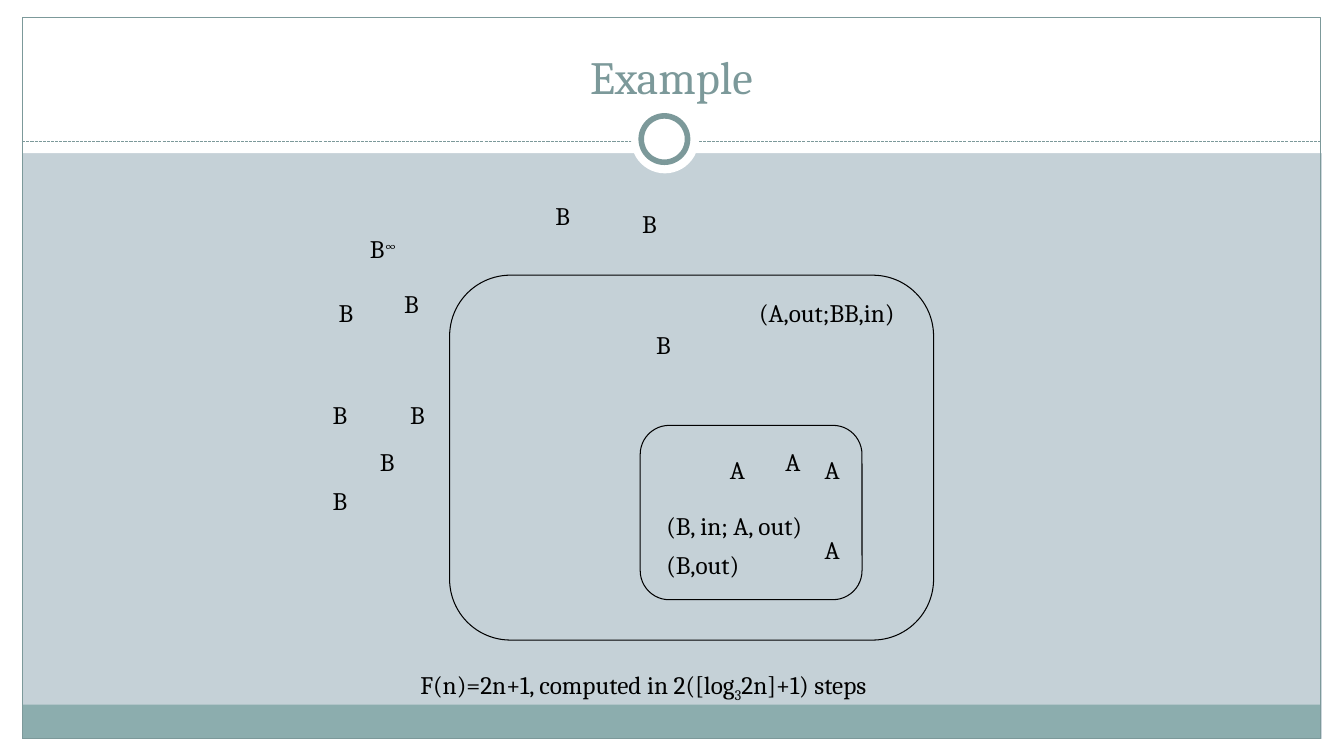
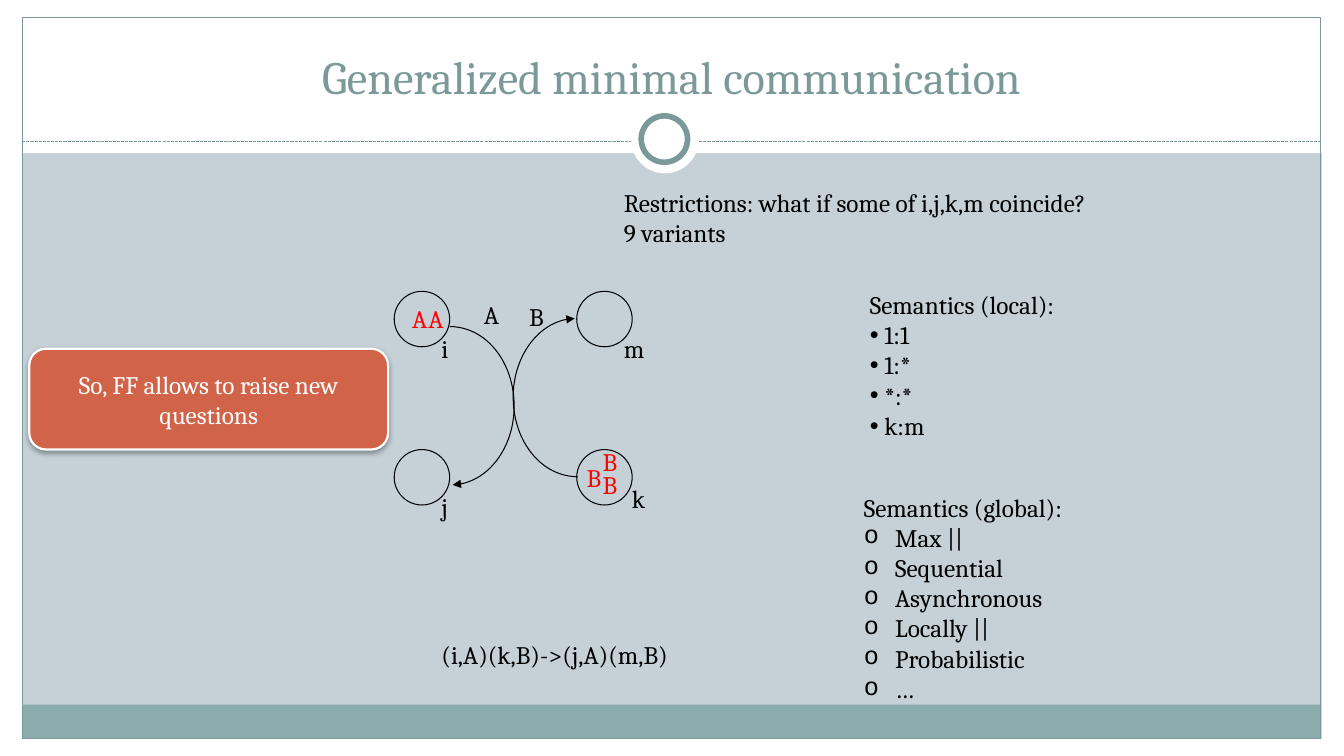
from lxml import etree
from pptx import Presentation
from pptx.dml.color import RGBColor
from pptx.enum.dml import MSO_LINE
from pptx.enum.shapes import MSO_CONNECTOR, MSO_SHAPE
from pptx.enum.text import MSO_ANCHOR, MSO_AUTO_SIZE, PP_ALIGN
from pptx.oxml.ns import qn
from pptx.util import Inches, Pt

RECTANGLE, ROUNDED, OVAL = MSO_SHAPE.RECTANGLE, MSO_SHAPE.ROUNDED_RECTANGLE, MSO_SHAPE.OVAL
STRAIGHT, DASH = MSO_CONNECTOR.STRAIGHT, MSO_LINE.SQUARE_DOT
MIDDLE, BOTTOM = MSO_ANCHOR.MIDDLE, MSO_ANCHOR.BOTTOM
CENTER, GROW = PP_ALIGN.CENTER, MSO_AUTO_SIZE.SHAPE_TO_FIT_TEXT

BACKGROUND = RGBColor(0xC5, 0xD1, 0xD7)
BAND = RGBColor(0x8C, 0xAD, 0xAE)
ACCENT = RGBColor(0x7C, 0x99, 0x9A)
CALLOUT = RGBColor(0xD1, 0x63, 0x49)
WHITE = RGBColor(0xFF, 0xFF, 0xFF)
BLACK = RGBColor(0, 0, 0)
RED = RGBColor(0xFF, 0, 0)
FONT = "Cambria"
WIDTH, HEIGHT = 13.33, 7.5
LETTER_WIDTH, LINE_HEIGHT = 0.37, 0.4

# Content: membrane example (places are left, top)
MEMBRANES = [(4.46, 2.73, 4.8, 3.62), (6.35, 4.22, 2.2, 1.73)]
OBJECTS = {
    "A": [(7.69, 4.38), (8.08, 4.46), (7.14, 4.46), (8.08, 5.25)],
    "B": [(6.41, 3.22), (3.26, 2.9), (5.41, 1.94), (6.27, 2.02), (3.97, 3.91),
          (3.91, 2.81), (3.2, 3.91), (3.2, 4.77), (3.67, 4.38)],
}
# A line is a list of (text, baseline shift in percent)
RULES = [
    (6.51, 5.01, 1.72, [("(B, in; A, out)", 0)]),
    (6.51, 5.4, 0.99, [("(B,out)", 0)]),
    (7.43, 2.9, 1.7, [("(A,out;BB,in)", 0)]),
    (3.57, 2.27, 0.5, [("B", 0), ("∞", 30)]),
    (4.07, 6.59, 5.23, [("F(n)=2n+1, computed in 2([log", 0), ("3", -25), ("2n]+1) steps", 0)]),
]

# Content: communication diagram
CELL_SIZE, CELL_COLUMNS, CELL_ROWS = 0.55, (3.91, 5.72), (2.89, 4.46)
CELL_LABELS = [("i", 4.28, 3.26, 0.28), ("j", 4.28, 4.83, 0.28),
               ("k", 6.17, 4.75, 0.34), ("m", 6.09, 3.26, 0.43),
               ("A", 4.7, 2.92, 0.37), ("B", 5.15, 2.94, 0.37)]
CELL_CONTENTS = [("A", 3.99, 2.96), ("A", 4.15, 2.96),
                 ("B", 5.88, 4.61), ("B", 5.72, 4.54), ("B", 5.88, 4.38)]
# Two Bezier arcs from i to j; the k to m path is their half turn
ARCS = [[(4.46, 3.24), (4.82, 3.24), (5.1, 3.59), (5.1, 4.03)],
        [(5.1, 4.03), (5.1, 4.45), (4.83, 4.8), (4.49, 4.81)]]
HALF_TURN_SUM = (10.19, 7.97)
ARC_STEPS = 24
FORMULA = "(i,A)(k,B)->(j,A)(m,B)"
QUESTION = ["Restrictions: what if some of i,j,k,m coincide?", "9 variants"]
LOCAL = ["Semantics (local):", " 1:1", " 1:*", " *:*", " k:m"]
GLOBAL = ["Semantics (global):", "Max ||", "Sequential", "Asynchronous",
          "Locally ||", "Probabilistic", "…"]
CONCLUSION = "So, FF allows to raise new questions"


# Drawing helpers
def style_runs(paragraph, color, size):
    for run in paragraph.runs:
        run.font.name, run.font.size, run.font.color.rgb = FONT, Pt(size), color


def add_shape(slide, kind, box, fill=None, line=None, line_width=0.75):
    shape = slide.shapes.add_shape(kind, *map(Inches, box))
    shape.shadow.inherit = False
    if fill is None:
        shape.fill.background()
    else:
        shape.fill.solid()
        shape.fill.fore_color.rgb = fill
    if line is None:
        shape.line.fill.background()
    else:
        shape.line.color.rgb = line
        shape.line.width = Pt(line_width)
    return shape


def add_text(slide, box, lines, color=BLACK, wrap=False):
    text_box = slide.shapes.add_textbox(*map(Inches, box))
    frame = text_box.text_frame
    frame.text = "\n".join(lines)
    frame.word_wrap, frame.auto_size = wrap, GROW
    for paragraph in frame.paragraphs:
        style_runs(paragraph, color, 18)
    return frame


def add_rule(slide, left, top, width, parts):
    paragraph = add_text(slide, (left, top, width, LINE_HEIGHT), [""]).paragraphs[0]
    for text, shift in parts:
        run = paragraph.add_run()
        run.text = text
        if shift:
            run._r.get_or_add_rPr().set("baseline", str(shift * 1000))
    style_runs(paragraph, BLACK, 18)


def add_bullets(paragraphs, character, font, indent=0):
    for paragraph in paragraphs:
        properties = paragraph._p.get_or_add_pPr()
        properties.set("marL", str(Inches(indent)))
        properties.set("indent", str(-Inches(indent)))
        etree.SubElement(properties, qn("a:buFont"), typeface=font)
        etree.SubElement(properties, qn("a:buChar"), char=character)


def bezier_points(controls):
    for step in range(ARC_STEPS + 1):
        t = step / ARC_STEPS
        weights = ((1 - t) ** 3, 3 * t * (1 - t) ** 2, 3 * t * t * (1 - t), t ** 3)
        yield tuple(sum(w * point[axis] for w, point in zip(weights, controls))
                    for axis in (0, 1))


def add_curved_arrow(slide, points):
    points = [(Inches(x), Inches(y)) for x, y in points]
    builder = slide.shapes.build_freeform(*points[0])
    builder.add_line_segments(points[1:], close=False)
    arrow = builder.convert_to_shape()
    arrow.shadow.inherit = False
    arrow.fill.background()
    arrow.line.color.rgb = BLACK
    arrow.line.width = Pt(0.75)
    etree.SubElement(arrow.line._get_or_add_ln(), qn("a:tailEnd"), type="triangle")


def add_soft_shadow(shape):
    effects = shape._element.spPr.find(qn("a:effectLst"))
    shadow = etree.SubElement(effects, qn("a:outerShdw"), blurRad=str(Pt(4)),
                              dist=str(Pt(2)), dir="5400000", rotWithShape="0")
    color = etree.SubElement(shadow, qn("a:srgbClr"), val=str(BLACK))
    etree.SubElement(color, qn("a:alpha"), val="35000")


# Shared frame, ring and title
def add_slide(presentation, title):
    slide = presentation.slides.add_slide(presentation.slide_layouts[6])
    slide.background.fill.solid()
    slide.background.fill.fore_color.rgb = BACKGROUND
    for box in [(0, 7.33, WIDTH, 0.17), (0, 0, WIDTH, 1.52),
                (0, 0, 0.22, HEIGHT), (13.11, 0, 0.22, HEIGHT)]:
        add_shape(slide, RECTANGLE, box, WHITE)
    add_shape(slide, RECTANGLE, (0.22, 6.99, 12.88, 0.34), BAND)
    add_shape(slide, RECTANGLE, (0.22, 0.17, 12.88, 7.16), line=ACCENT)
    divider = slide.shapes.add_connector(STRAIGHT, *map(Inches, (0.22, 1.4, 13.1, 1.4)))
    divider.line.color.rgb, divider.line.width = ACCENT, Pt(0.75)
    divider.line.dash_style = DASH
    etree.SubElement(divider._element.spPr, qn("a:effectLst"))
    add_shape(slide, OVAL, (6.26, 1.05, 0.67, 0.67), WHITE)
    add_shape(slide, OVAL, (6.36, 1.15, 0.46, 0.46), WHITE, ACCENT, 4)
    frame = slide.shapes.add_textbox(*map(Inches, (0.44, 0.25, 12.44, 0.83))).text_frame
    frame.word_wrap, frame.vertical_anchor = True, BOTTOM
    frame.text = title
    frame.paragraphs[0].alignment = CENTER
    style_runs(frame.paragraphs[0], ACCENT, 33)
    return slide


presentation = Presentation()
presentation.slide_width, presentation.slide_height = Inches(WIDTH), Inches(HEIGHT)

# Slide 1: membranes with objects and rules
slide = add_slide(presentation, "Example")
for membrane in MEMBRANES:
    add_shape(slide, ROUNDED, membrane, line=BLACK)
for letter, places in OBJECTS.items():
    for place in places:
        add_text(slide, (*place, LETTER_WIDTH, LINE_HEIGHT), [letter])
for rule in RULES:
    add_rule(slide, *rule)

# Slide 2: four cells exchanging objects
slide = add_slide(presentation, "Generalized minimal communication")
for left in CELL_COLUMNS:
    for top in CELL_ROWS:
        add_shape(slide, OVAL, (left, top, CELL_SIZE, CELL_SIZE), line=BLACK)
path_down = [point for arc in ARCS for point in bezier_points(arc)]
path_up = [(HALF_TURN_SUM[0] - x, HALF_TURN_SUM[1] - y) for x, y in path_down]
for points in (path_down, path_up):
    add_curved_arrow(slide, points)
for label, left, top, width in CELL_LABELS:
    add_text(slide, (left, top, width, LINE_HEIGHT), [label])
for letter, left, top in CELL_CONTENTS:
    add_text(slide, (left, top, LETTER_WIDTH, LINE_HEIGHT), [letter], RED)

# Slide 2: formula, question and lists
add_text(slide, (4.28, 6.29, 2.67, LINE_HEIGHT), [FORMULA])
add_text(slide, (6.09, 1.81, 5.27, 0.71), QUESTION)
local_list = add_text(slide, (8.53, 2.82, 2.19, 1.62), LOCAL)
add_bullets(local_list.paragraphs[1:], "•", "Arial")
global_list = add_text(slide, (8.47, 4.83, 2.45, 2.22), GLOBAL, wrap=True)
add_bullets(global_list.paragraphs[1:], "o", "Courier New", 0.31)

# Slide 2: conclusion
callout = add_shape(slide, ROUNDED, (0.29, 3.46, 3.56, 1), CALLOUT, WHITE, 1.57)
add_soft_shadow(callout)
frame = callout.text_frame
frame.word_wrap, frame.vertical_anchor = True, MIDDLE
frame.text = CONCLUSION
frame.paragraphs[0].alignment = CENTER
style_runs(frame.paragraphs[0], WHITE, 18)

presentation.save("out.pptx")
